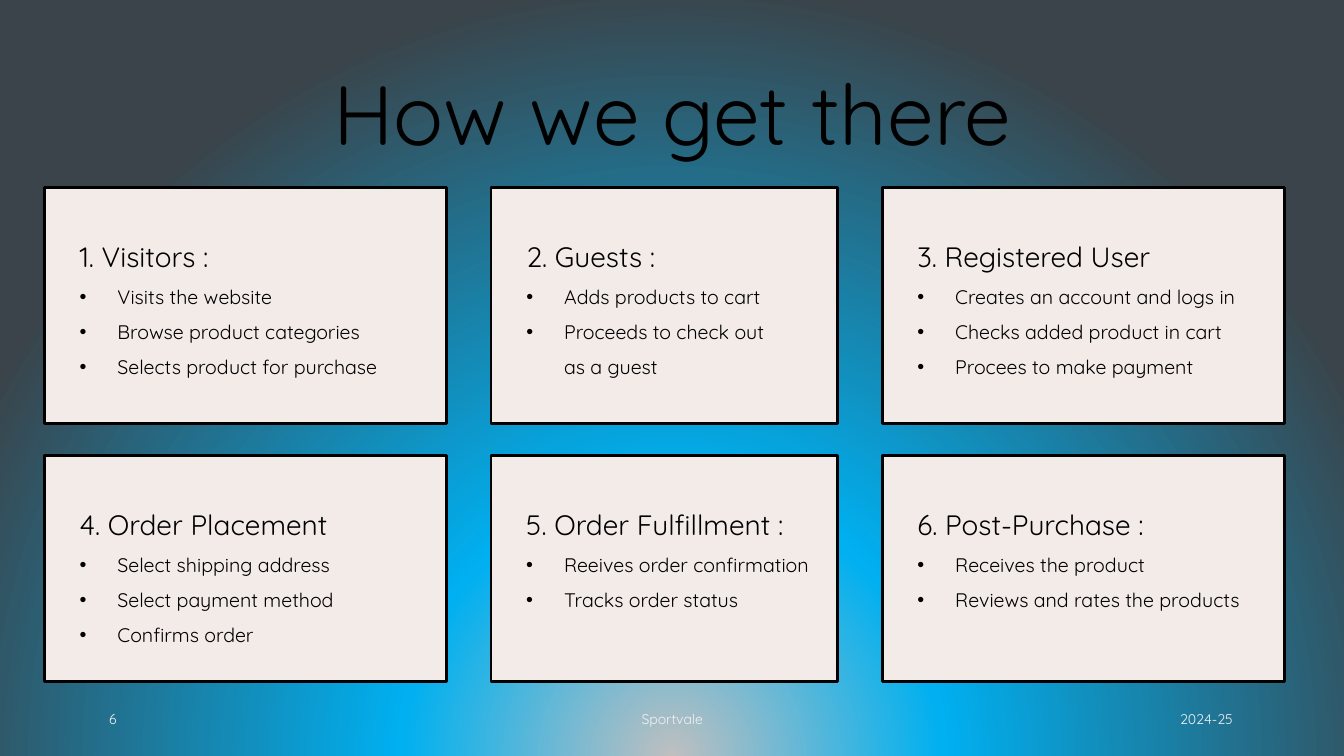
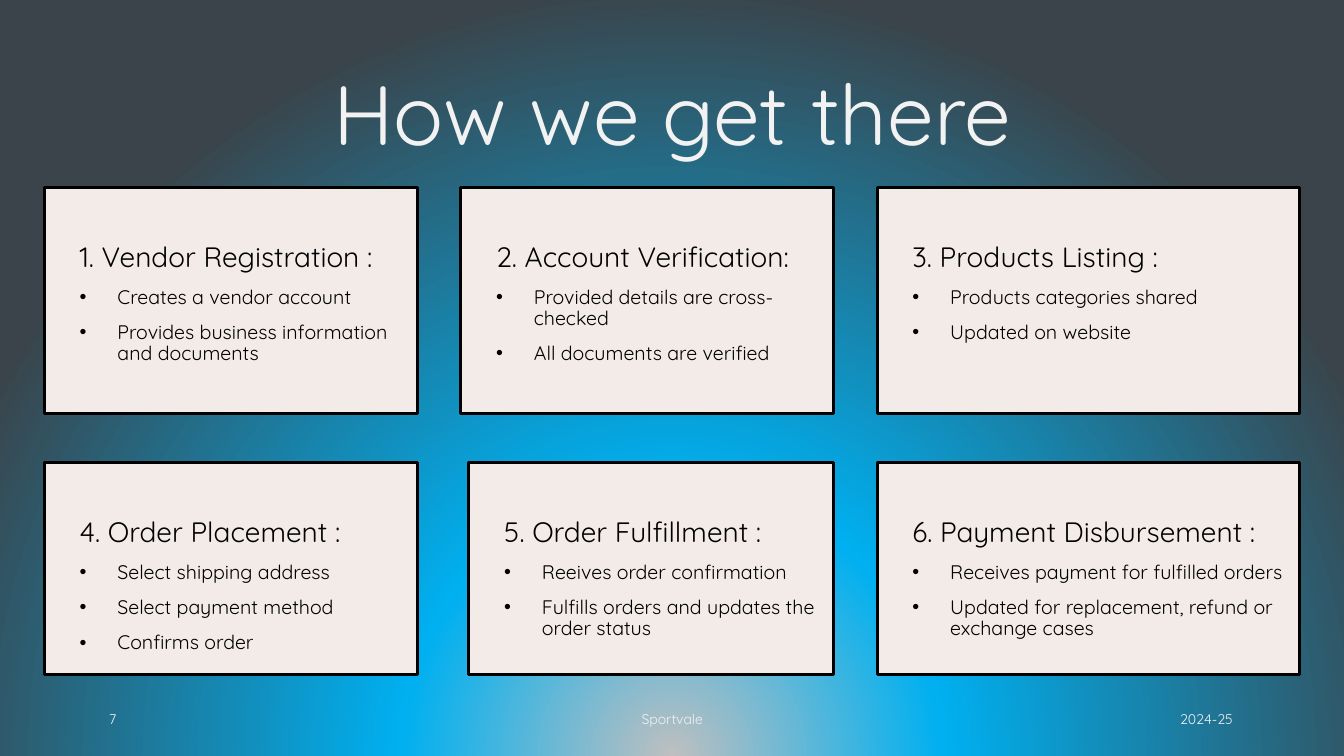
from dataclasses import dataclass
from itertools import accumulate

from pptx import Presentation
from pptx.dml.color import RGBColor
from pptx.enum.shapes import MSO_SHAPE
from pptx.enum.text import MSO_ANCHOR, MSO_AUTO_SIZE, PP_ALIGN
from pptx.oxml import parse_xml
from pptx.oxml.ns import nsdecls, qn
from pptx.util import Pt

FONT = "Quicksand"
BLACK, PALE, CARD = "000000", "F2F2F2", "F3EBE8"
STOPS = ((0, "BFBFBF"), (35, "00B0F0"), (100, "3A444A"))
LEFT, TOP = 31.7, 133.9
INDENT = 27


@dataclass
class Card:
    head: str
    items: tuple[str, ...]
    tail: str = ""  # closing line without a bullet
    inset: float = 0  # shift of the left edge


@dataclass
class Grid:
    widths: tuple[float, ...]
    heights: tuple[float, ...]
    gap: float
    row_gap: float


@dataclass
class Page:
    number: str
    ink: str
    grid: Grid
    cards: tuple[Card, ...]


@dataclass
class Label:
    text: str
    left: float
    width: float


PAGES = (
    Page("6", BLACK, Grid((287.3, 247.7, 287.3), (168.5, 161.3), 31.7, 23), (
        Card("1. Visitors :", ("Visits the website", "Browse product categories",
                               "Selects product for purchase")),
        Card("2. Guests :", ("Adds products to cart", "Proceeds to check out"),
             tail="as a guest"),
        Card("3. Registered User", ("Creates an account and logs in",
                                    "Checks added product in cart",
                                    "Procees to make payment")),
        Card("4. Order Placement", ("Select shipping address", "Select payment method",
                                    "Confirms order")),
        Card("5. Order Fulfillment :", ("Reeives order confirmation",
                                        "Tracks order status")),
        Card("6. Post-Purchase :", ("Receives the product",
                                    "Reviews and rates the products")),
    )),
    Page("7", PALE, Grid((266.4, 266.4, 301.7), (161.3, 151.2), 31, 35.3), (
        Card("1. Vendor Registration :", ("Creates a vendor account",
                                          "Provides business information and documents")),
        Card("2. Account Verification:", ("Provided details are cross-checked",
                                          "All documents are verified")),
        Card("3. Products Listing :", ("Products categories shared", "Updated on website")),
        Card("4. Order Placement :", ("Select shipping address", "Select payment method",
                                      "Confirms order")),
        Card("5. Order Fulfillment :", ("Reeives order confirmation",
                                        "Fulfills orders and updates the order status"),
             inset=5.8),
        Card("6. Payment Disbursement :", ("Receives payment for fulfilled orders",
                                           "Updated for replacement, refund or exchange cases")),
    )),
)


def rgb(code: str) -> RGBColor:
    return RGBColor.from_string(code)


def place(shape, left: float, top: float, width: float, height: float) -> None:
    shape.left, shape.top = Pt(left), Pt(top)
    shape.width, shape.height = Pt(width), Pt(height)


def style(para, size: float, ink: str, align=PP_ALIGN.LEFT) -> None:
    para.alignment = align
    font = para.font
    font.name, font.size, font.bold = FONT, Pt(size), False
    font.color.rgb = rgb(ink)


def pad(frame, left: float, top: float, right: float, bottom: float) -> None:
    frame.margin_left, frame.margin_top = Pt(left), Pt(top)
    frame.margin_right, frame.margin_bottom = Pt(right), Pt(bottom)


def paint(master) -> None:
    """Give the master a circular gradient centred below the slide."""
    master.background.fill.solid()
    back = master.element.find(".//" + qn("p:bgPr"))
    stops = "".join(f'<a:gs pos="{pos * 1000}"><a:srgbClr val="{code}"/></a:gs>'
                    for pos, code in STOPS)
    back.replace(back[0], parse_xml(
        f'<a:gradFill {nsdecls("a")} rotWithShape="1"><a:gsLst>{stops}</a:gsLst>'
        '<a:path path="circle"><a:fillToRect l="50000" t="130000" r="50000" b="-30000"/>'
        '</a:path></a:gradFill>'))


def bullet(para, char: str, margin: float, hang: float) -> None:
    """Set the indents and the bullet; an empty char means no bullet."""
    props = para._p.get_or_add_pPr()
    props.set("marL", str(Pt(margin)))
    props.set("indent", str(Pt(-hang)))
    if char:
        props.append(parse_xml(f'<a:buFont {nsdecls("a")} typeface="Arial"/>'))
        props.append(parse_xml(f'<a:buChar {nsdecls("a")} char="{char}"/>'))
    else:
        props.append(parse_xml(f'<a:buNone {nsdecls("a")}/>'))


def draw_card(shape, card: Card) -> None:
    shape.fill.solid()
    shape.fill.fore_color.rgb = rgb(CARD)
    shape.line.color.rgb = rgb(BLACK)
    shape.line.width = Pt(2)
    frame = shape.text_frame
    frame.word_wrap = True
    frame.auto_size = MSO_AUTO_SIZE.NONE
    frame.vertical_anchor = MSO_ANCHOR.TOP
    pad(frame, 25.2, 39.6, 7.2, 3.6)

    rows = [(card.head, 20, "", 0, 0)]
    rows += [(item, 14, "•", INDENT, INDENT) for item in card.items]
    if card.tail:
        rows.append((card.tail, 14, "", INDENT, 0))
    for i, (text, size, char, margin, hang) in enumerate(rows):
        para = frame.add_paragraph() if i else frame.paragraphs[0]
        para.text = text
        bullet(para, char, margin, hang)
        para.line_spacing = 0.9
        para.space_before = Pt(10 if i else 0)
        style(para, size, BLACK)


def draw_grid(slide, grid: Grid, cards: tuple[Card, ...]) -> None:
    """Fill the body placeholders first, then add rectangles for the rest."""
    bodies = [ph for ph in slide.placeholders if ph.placeholder_format.idx]
    lefts = list(accumulate((w + grid.gap for w in grid.widths), initial=LEFT))
    tops = list(accumulate((h + grid.row_gap for h in grid.heights), initial=TOP))
    for i, card in enumerate(cards):
        row, col = divmod(i, len(grid.widths))
        if bodies:
            shape = bodies.pop(0)
        else:
            shape = slide.shapes.add_shape(MSO_SHAPE.RECTANGLE, 0, 0, 0, 0)
            shape.shadow.inherit = False
        place(shape, lefts[col] + card.inset, tops[row],
              grid.widths[col] - card.inset, grid.heights[row])
        draw_card(shape, card)


def draw_foot(slide, number: str) -> None:
    labels = (Label(number, 66.2, 28.8), Label("Sportvale", 422.6, 115.2),
              Label("2024-25", 836.6, 50.4))
    for label in labels:
        box = slide.shapes.add_textbox(0, 0, 0, 0)
        place(box, label.left, 504, label.width, 19.4)
        frame = box.text_frame
        frame.word_wrap = True
        frame.vertical_anchor = MSO_ANCHOR.MIDDLE
        pad(frame, 0, 3.6, 0, 3.6)
        frame.text = label.text
        style(frame.paragraphs[0], 10, PALE, PP_ALIGN.CENTER)


def draw_page(deck, page: Page) -> None:
    slide = deck.slides.add_slide(deck.slide_layouts.get_by_name("Comparison"))
    title = slide.shapes.title
    place(title, 90, 40.3, 780.5, 79.9)
    frame = title.text_frame
    frame.text = "How we get there"
    frame.auto_size = MSO_AUTO_SIZE.NONE
    frame.vertical_anchor = MSO_ANCHOR.MIDDLE
    style(frame.paragraphs[0], 60, page.ink, PP_ALIGN.CENTER)
    draw_grid(slide, page.grid, page.cards)
    draw_foot(slide, page.number)


def main() -> None:
    deck = Presentation()
    deck.slide_width, deck.slide_height = Pt(960), Pt(540)
    paint(deck.slide_master)
    for page in PAGES:
        draw_page(deck, page)
    deck.save("out.pptx")


if __name__ == "__main__":
    main()
